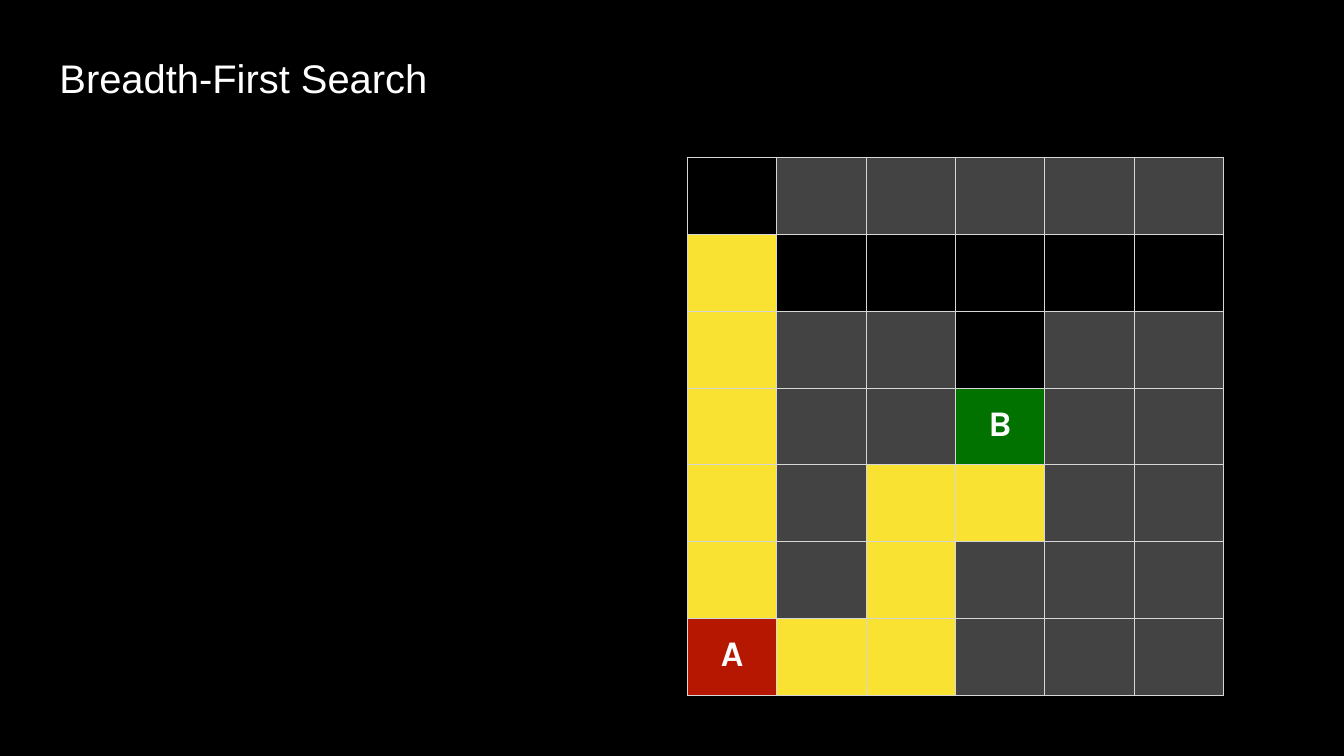
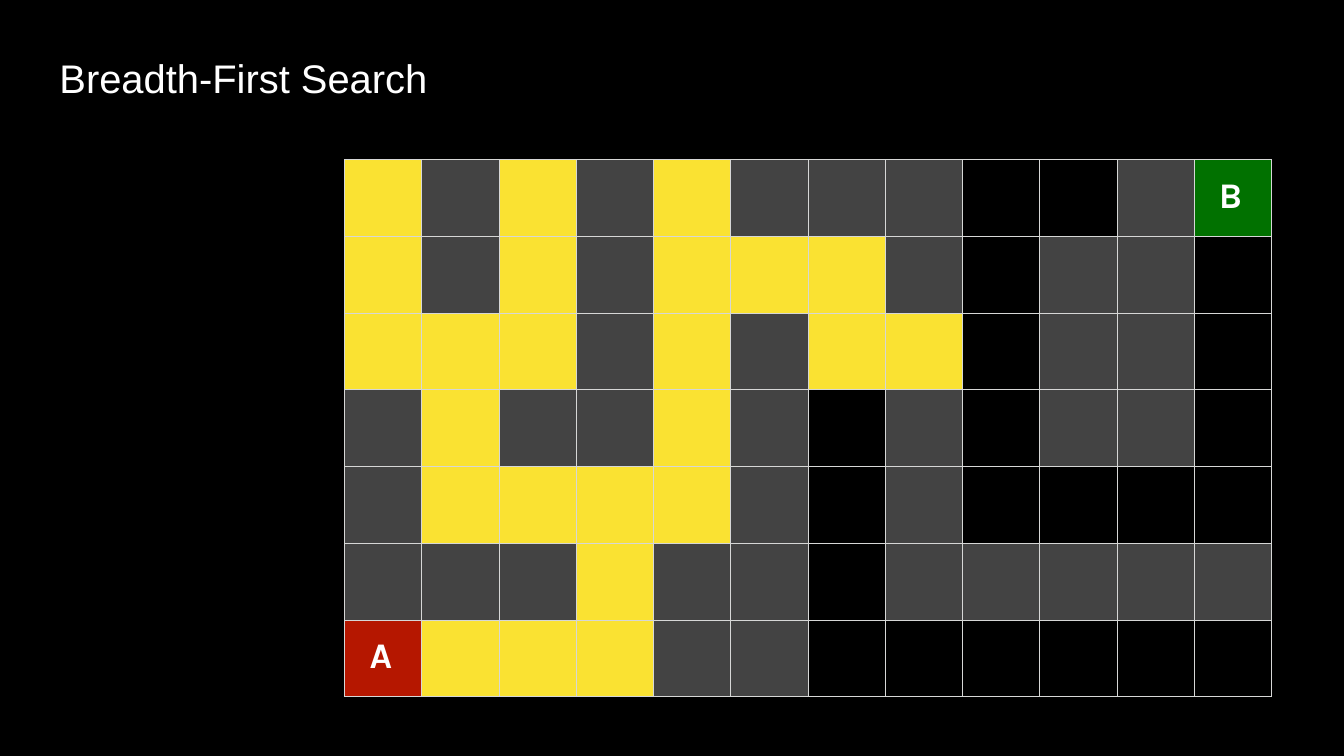
from lxml import etree
from pptx import Presentation, util as u
from pptx.dml.color import RGBColor
from pptx.enum import shapes, text as t
from pptx.oxml.ns import qn

# Shared look
COLORS = {
    "background": "000000",
    "text": "FFFFFF",
    "border": "D6D7D6",
    "wall": "434343",
    "explored": "FAE232",
    "start": "B51700",
    "goal": "017100",
}
TITLE_FONT = {"name": "Arial", "size": u.Pt(47), "bold": False}
LETTER_FONT = {"name": "Karla", "size": u.Pt(42.5), "bold": True}
TITLE_ONLY = 5
ROW_HEIGHT = 3.19

# Maze symbols; a dot is an open square without fill
SQUARES = {"#": "wall", "*": "explored", "A": "start", "B": "goal"}

SMALL_MAZE = """
.#####
*.....
*##.##
*##B##
*#**##
*#*###
A**###
""".split()

LARGE_MAZE = """
*#*#*###..#B
*#*#***#.##.
***#*#**.##.
#*##*#.#.##.
#****#.#....
###*##.#####
A***##......
""".split()


def color(name):
    return RGBColor.from_string(COLORS[name])


def set_values(target, values):
    for name, value in values.items():
        setattr(target, name, value)


def set_text(para, words, font):
    span = para.add_run()
    span.text = words
    set_values(span.font, font)
    span.font.color.rgb = color("text")


def add_backdrop(deck, page):
    """Draw a full-size panel and move it behind everything on the master."""
    panel = page.shapes.add_shape(shapes.MSO_SHAPE.RECTANGLE, 0, 0,
                                  deck.slide_width, deck.slide_height)
    panel.shadow.inherit = False
    panel.fill.solid()
    panel.fill.fore_color.rgb = color("background")
    panel.line.fill.background()
    deck.slide_master.shapes._spTree.insert(2, panel._element)


def add_title(page, words):
    title = page.shapes.title
    set_values(title, {"left": u.Cm(1.73), "top": u.Cm(1.09),
                       "width": u.Cm(32.84), "height": u.Cm(4.52)})
    frame = title.text_frame
    set_values(frame, {
        "margin_left": u.Cm(0.74), "margin_top": u.Cm(1.12),
        "margin_right": 0, "margin_bottom": 0, "word_wrap": True,
        "auto_size": t.MSO_AUTO_SIZE.NONE,
        "vertical_anchor": t.MSO_ANCHOR.TOP,
    })
    para = frame.paragraphs[0]
    para.alignment = t.PP_ALIGN.LEFT
    set_text(para, words, TITLE_FONT)


def add_borders(cell):
    properties = cell._tc.get_or_add_tcPr()
    for side in ("lnL", "lnR", "lnT", "lnB"):
        line = etree.SubElement(properties, qn(f"a:{side}"), w=str(u.Pt(1)))
        fill = etree.SubElement(line, qn("a:solidFill"))
        etree.SubElement(fill, qn("a:srgbClr"), val=COLORS["border"])


def format_square(cell, symbol, right_margin):
    add_borders(cell)  # borders come before the fill in the cell XML
    if symbol in SQUARES:
        cell.fill.solid()
        cell.fill.fore_color.rgb = color(SQUARES[symbol])
    else:
        cell.fill.background()
    if symbol.isalpha():
        set_values(cell, {"margin_left": 0, "margin_top": u.Cm(0.64),
                          "margin_right": u.Cm(right_margin),
                          "margin_bottom": 0})
        para = cell.text_frame.paragraphs[0]
        para.alignment = t.PP_ALIGN.CENTER
        set_text(para, symbol, LETTER_FONT)


def add_maze(page, maze, left, top, column_width, right_margin=0):
    rows, columns = len(maze), len(maze[0])
    grid = page.shapes.add_table(
        rows, columns, u.Cm(left), u.Cm(top),
        u.Cm(columns * column_width), u.Cm(rows * ROW_HEIGHT)).table
    set_values(grid, {"first_row": False, "horz_banding": False})
    for column in grid.columns:
        column.width = u.Cm(column_width)
    for row, symbols in zip(grid.rows, maze):
        row.height = u.Cm(ROW_HEIGHT)
        for cell, symbol in zip(row.cells, symbols):
            format_square(cell, symbol, right_margin)


def add_search_page(deck, **maze_values):
    page = deck.slides.add_slide(deck.slide_layouts[TITLE_ONLY])
    add_title(page, "Breadth-First Search")
    add_maze(page, **maze_values)
    return page


def main():
    deck = Presentation()
    set_values(deck, {"slide_width": u.Cm(55.85), "slide_height": u.Cm(31.42)})

    first_page = add_search_page(deck, maze=SMALL_MAZE, left=28.57, top=6.55,
                                 column_width=3.71)
    add_search_page(deck, maze=LARGE_MAZE, left=14.32, top=6.63,
                    column_width=3.21, right_margin=0.2)
    add_backdrop(deck, first_page)
    deck.save("out.pptx")


if __name__ == "__main__":
    main()
